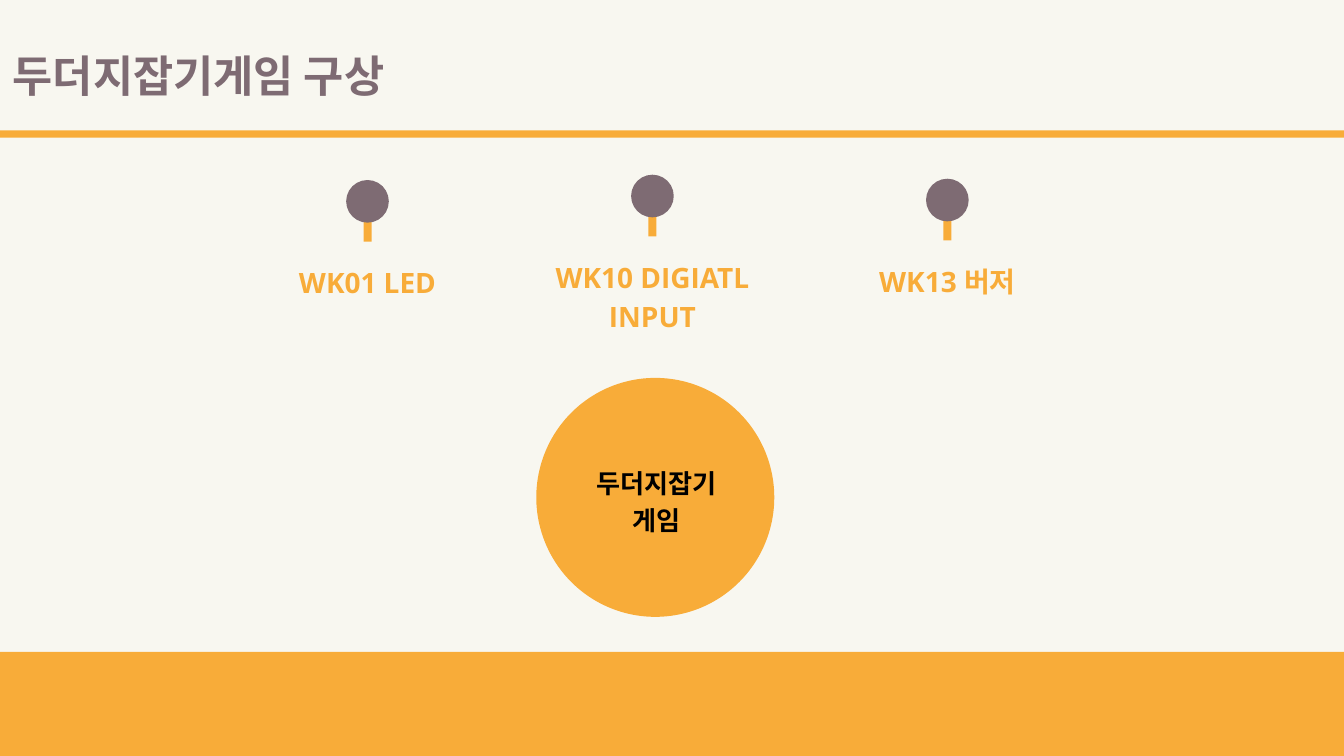
from pptx import Presentation
from pptx.dml.color import RGBColor
from pptx.enum.shapes import MSO_SHAPE
from pptx.enum.text import MSO_ANCHOR, MSO_AUTO_SIZE, PP_ALIGN
from pptx.util import Pt

CREAM = RGBColor(0xF8, 0xF7, 0xF0)
AMBER = RGBColor(0xF8, 0xAC, 0x39)
MAUVE = RGBColor(0x7E, 0x6B, 0x73)
BLACK = RGBColor(0, 0, 0)

PINS = [
    (574.6, 272.9, "WK10 DIGIATL\nINPUT"),
    (890.6, 277.2, "WK13 버저"),
    (269.3, 278.6, "WK01 LED"),
]


def add_form(shapes, kind, x, y, w, h, color):
    form = shapes.add_shape(kind, Pt(x), Pt(y), Pt(w), Pt(h))
    form.shadow.inherit = False
    form.fill.solid()
    form.fill.fore_color.rgb = color
    form.line.fill.background()


def set_text(box, text, font, size, color, lead, align):
    frame = box.text_frame
    frame.text = text
    frame.word_wrap = True
    frame.auto_size = MSO_AUTO_SIZE.NONE
    frame.vertical_anchor = MSO_ANCHOR.TOP
    frame.margin_left = frame.margin_right = Pt(0)
    frame.margin_top = frame.margin_bottom = Pt(0)
    for line in frame.paragraphs:
        line.alignment = align
        line.line_spacing = Pt(lead)
        for run in line.runs:
            run.font.name = font
            run.font.size = Pt(size)
            run.font.bold = True
            run.font.color.rgb = color


def add_label(shapes, x, y, w, h, text, font, size, color, lead):
    box = shapes.add_textbox(Pt(x), Pt(y), Pt(w), Pt(h))
    set_text(box, text, font, size, color, lead, PP_ALIGN.CENTER)


def add_pin(slide, x, y, text):
    shapes = slide.shapes.add_group_shape().shapes
    high = 40 * len(text.split("\n"))
    add_label(shapes, x, y, 249, high, text, "Open Sans", 30, AMBER, 42)
    add_form(shapes, MSO_SHAPE.RECTANGLE, x + 120.2, y - 60, 8.6, 40.3, AMBER)
    add_form(shapes, MSO_SHAPE.OVAL, x + 101.6, y - 85.7, 45.7, 45.7, MAUVE)


def set_title(slide, text):
    title = slide.shapes.title
    title.left, title.top = Pt(13.7), Pt(42.5)
    title.width, title.height = Pt(759.6), Pt(60.5)
    set_text(title, text, "Calibri", 46.8, MAUVE, 65.5, PP_ALIGN.LEFT)


def main():
    deck = Presentation()
    deck.slide_width, deck.slide_height = Pt(1440), Pt(810)
    slide = deck.slides.add_slide(deck.slide_layouts[5])
    slide.background.fill.solid()
    slide.background.fill.fore_color.rgb = CREAM
    shapes = slide.shapes

    set_title(slide, "두더지잡기게임 구상")
    add_form(shapes, MSO_SHAPE.RECTANGLE, -23, 698.4, 1494.7, 136, AMBER)
    for x, y, text in PINS:
        add_pin(slide, x, y, text)
    add_form(shapes, MSO_SHAPE.OVAL, 574.6, 404.9, 255, 256, AMBER)
    add_label(shapes, 606.2, 495.4, 195.1, 74.9, "두더지잡기\n게임",
              "Calibri", 28, BLACK, 39.2)
    add_form(shapes, MSO_SHAPE.RECTANGLE, -16, 139.7, 1512, 7.9, AMBER)
    deck.save("out.pptx")


if __name__ == "__main__":
    main()
